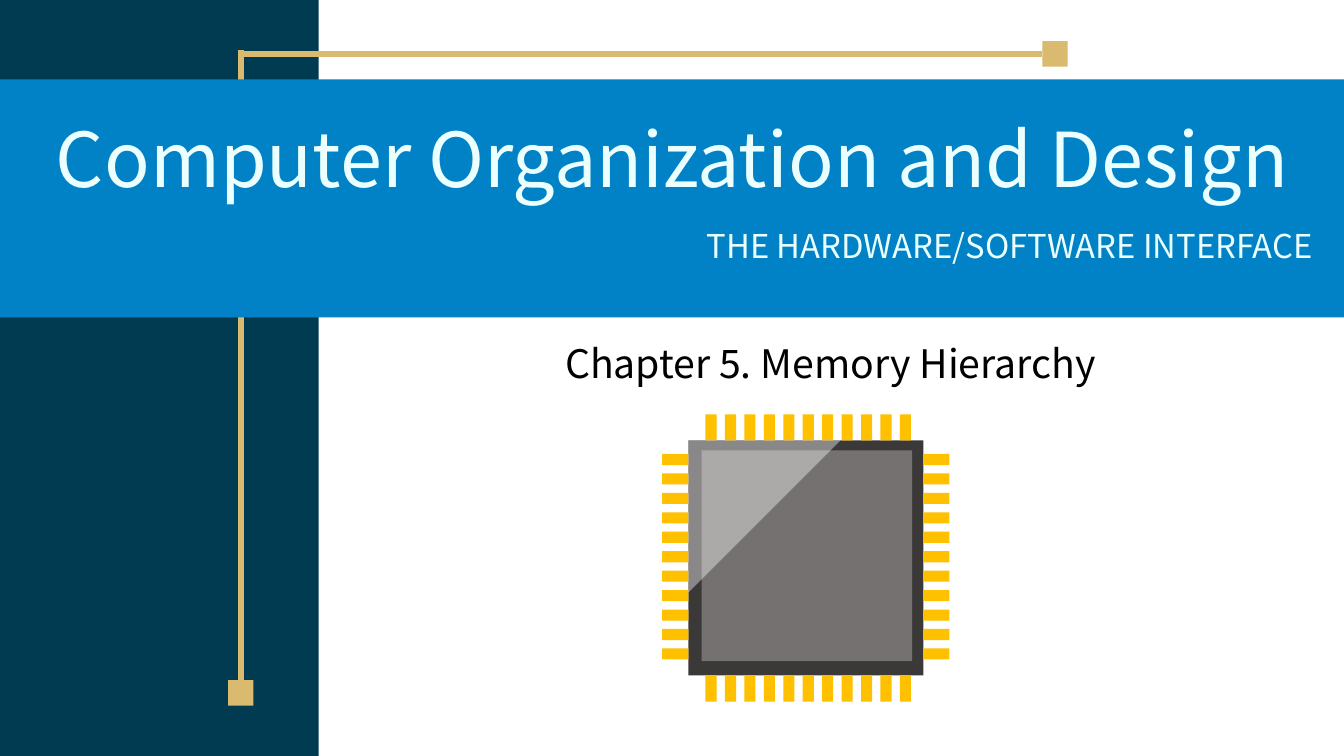
from lxml import etree
from pptx import Presentation
from pptx.dml import color
from pptx.enum import shapes, text
from pptx.oxml import ns
from pptx.util import Cm, Pt

FONT = "Noto Sans CJK KR"
NAVY, BLUE, GOLD, PALE = "013B51", "0182C6", "DABA6F", "EBFFFF"
RIM, CORE, PIN = "3B3838", "767171", "FFC000"
KNOB = 0.64


def rgb(code):
    return color.RGBColor.from_string(code)


def paint(shape, code):
    shape.shadow.inherit = False
    shape.fill.solid()
    shape.fill.fore_color.rgb = rgb(code)
    shape.line.fill.background()
    return shape


def add_box(parent, x, y, w, h, code):
    box = parent.add_shape(shapes.MSO_SHAPE.RECTANGLE,
                           Cm(x), Cm(y), Cm(w), Cm(h))
    return paint(box, code)


def add_rail(parent, knob, site, x, y):
    """Draw a gold line from a side of a knob to the point x, y."""
    rail = parent.add_connector(shapes.MSO_CONNECTOR.STRAIGHT,
                                Cm(x), Cm(y), Cm(x), Cm(y))
    rail.begin_connect(knob, site)
    rail.line.color.rgb = rgb(GOLD)
    rail.line.width = Pt(4.5)
    etree.SubElement(rail.element.spPr, ns.qn("a:effectLst"))


def write(shape, words, size, code, anchor=text.MSO_ANCHOR.BOTTOM):
    frame = shape.text_frame
    frame.word_wrap = True
    frame.auto_size = text.MSO_AUTO_SIZE.NONE
    frame.vertical_anchor = anchor
    para = frame.paragraphs[0]
    para.alignment = text.PP_ALIGN.CENTER
    para.line_spacing = 0.9
    para.space_before = Pt(0)
    run = para.add_run()
    run.text = words
    run.font.name = FONT
    run.font.size = Pt(size)
    run.font.color.rgb = rgb(code)


def place(shape, x, y, w, h):
    shape.left, shape.top = Cm(x), Cm(y)
    shape.width, shape.height = Cm(w), Cm(h)


def add_chip(parent):
    chip = parent.add_group_shape().shapes
    add_box(chip, 17.35, 11.1, 5.92, 5.92, RIM)
    add_box(chip, 17.68, 11.35, 5.31, 5.31, CORE)

    # Eleven pins on each side
    for i in range(11):
        step = i * 0.49
        for y in (10.44, 17.02):
            add_box(chip, 17.78 + step, y, 0.28, 0.66, PIN)
        for x in (16.69, 23.27):
            add_box(chip, x, 11.44 + step, 0.66, 0.28, PIN)

    # Translucent glare over the upper left corner
    path = chip.build_freeform(Cm(17.35), Cm(11.1))
    path.add_line_segments([(Cm(21.18), Cm(11.1)), (Cm(17.35), Cm(14.93))])
    glare = paint(path.convert_to_shape(), "FFFFFF")
    tint = glare.element.spPr.find(".//" + ns.qn("a:srgbClr"))
    etree.SubElement(tint, ns.qn("a:alpha"), val="40000")


def main():
    deck = Presentation()
    deck.slide_width, deck.slide_height = Cm(33.87), Cm(19.05)
    slide = deck.slides.add_slide(deck.slide_layouts[0])
    parts = slide.shapes
    title, chapter = slide.placeholders

    # Side panel, gold rails and title band
    add_box(parts, 0, 0, 8.03, 19.05, NAVY)
    low = add_box(parts, 5.75, 17.14, KNOB, KNOB, GOLD)
    high = add_box(parts, 26.27, 1.04, KNOB, KNOB, GOLD)
    add_rail(parts, low, 0, 6.07, 1.27)
    add_rail(parts, high, 1, 6.07, 1.36)
    add_box(parts, 0, 2, 33.87, 6, BLUE)

    # Headings, brought in front of the band
    for holder in (title, chapter):
        parts.element.append(holder.element)
    place(title, 0.25, 2.39, 33.38, 2.87)
    write(title, "Computer Organization and Design", 54, PALE)
    place(chapter, 8.86, 8.56, 24.13, 1.8)
    write(chapter, "Chapter 5. Memory Hierarchy", 28, "000000",
          anchor=text.MSO_ANCHOR.TOP)
    motto = parts.add_textbox(Cm(17.48), Cm(5.26), Cm(15.93), Cm(1.55))
    write(motto, "THE HARDWARE/SOFTWARE INTERFACE", 23.4, PALE)

    # Processor
    add_chip(parts)
    deck.save("out.pptx")


if __name__ == "__main__":
    main()
